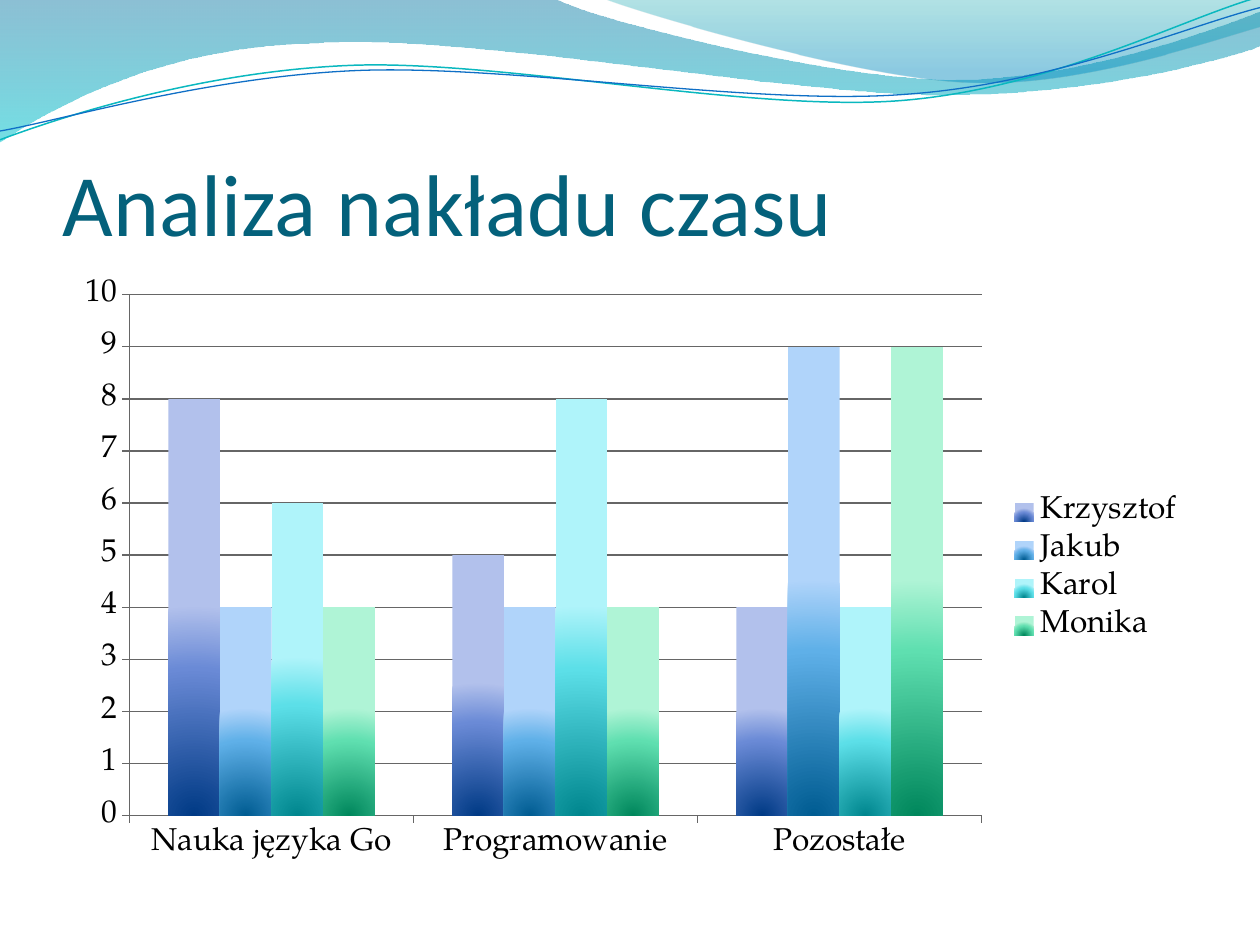
import math
from lxml import etree
from pptx import Presentation
from pptx import util as u
from pptx.chart import data as cd
from pptx.dml.color import RGBColor
from pptx.enum import chart as ec, text as et
from pptx.oxml import ns

# Content
TITLE = "Analiza nakładu czasu"
CATS = ["Nauka języka Go", "Programowanie", "Pozostałe"]
HOURS = {
    "Krzysztof": (8, 5, 4),
    "Jakub": (4, 4, 9),
    "Karol": (6, 8, 4),
    "Monika": (4, 4, 9),
}

# Look
THEME = {
    "head": "Calibri", "body": "TeX Gyre Pagella",
    "title": 50, "label": 18,
    "ink": "04617B", "text": "000000", "grid": "666666",
    "bars": [("003A85", "6A8AD6", "B2C1EC"), ("005C92", "5FB0E8", "B0D4FA"),
             ("00868E", "5CDFE8", "AFF4FA"), ("00875C", "5FDFB0", "AFF4D6")],
}
STOPS = (0, 70, 100)

# Waves in tenths of the slide width: box, then corners (2) and curves (6).
# Bands end with gradient stops: position, colour, opacity, all in percent.
BANDS = [
    ((-0.01, -0.01, 10.02, 1.14),
     [(0, 0), (4.4, -0.01), (4.76, 0.17, 6.64, 0.63, 7.58, 0.63),
      (8.53, 0.63, 9.58, 0.26, 10, 0.09), (10.01, 0.36),
      (9.83, 0.44, 8.7, 0.76, 7.46, 0.75), (6.22, 0.75, 3.82, 0.28, 2.57, 0.34),
      (1.29, 0.36, 0.46, 0.83, -0.01, 1.13), (0, 0)],
     [(0, "0074A1", 45), (100, "00C6CF", 55)]),
    ((4.79, -0.01, 5.21, 0.7),
     [(4.79, -0.01), (5.09, 0.11, 6.82, 0.62, 7.69, 0.65),
      (8.56, 0.69, 9.61, 0.32, 10, 0.21), (10, 0), (4.79, -0.01)],
     [(0, "00A1A9", 30), (80, "008BBF", 45)]),
]
LINES = [
    ((-0.02, 0.22, 10.02, 0.71),
     [(0, 1.11), (0.48, 0.93, 1.58, 0.57, 2.77, 0.52),
      (3.95, 0.47, 5.93, 0.89, 7.13, 0.8), (8.33, 0.71, 9.38, 0.15, 9.98, -0.02)],
     "0AB8BF", 0.85),
    ((-0.02, 0.3, 10.03, 0.58),
     [(0, 1.04), (0.47, 0.96, 1.64, 0.61, 2.83, 0.56),
      (4.03, 0.51, 5.97, 0.84, 7.17, 0.75), (8.36, 0.67, 9.41, 0.21, 10, 0.06)],
     "0F6FC6", 0.75),
]

WIDE, HIGH, EDGE = 25.4, 19.05, 1.27
TILT = 357.3


def rgb(code):
    return RGBColor.from_string(code)


def tenth(val):
    return u.Cm(val * WIDE / 10)


def wave(slide, box, parts, turn=0):
    """Draw an outline in its box; a turned box holds the points turned back."""
    x, y, w, h = box
    pen = slide.shapes.build_freeform(tenth(x), tenth(y))
    pen.add_line_segments([(tenth(x + w), tenth(y)), (tenth(x + w), tenth(y + h))],
                          close=turn == 0)
    shape = pen.convert_to_shape()
    shape.shadow.inherit = False
    shape.rotation = turn

    # Swap the plain segments for corners and curves
    route = next(shape._element.iter(ns.qn("a:path")))
    for kid in list(route):
        route.remove(kid)
    cos, sin = math.cos(math.radians(-turn)), math.sin(math.radians(-turn))
    for i, part in enumerate(parts):
        name = "moveTo" if i == 0 else "lnTo" if len(part) == 2 else "cubicBezTo"
        step = etree.SubElement(route, ns.qn("a:" + name))
        for px, py in zip(part[::2], part[1::2]):
            dx, dy = px - x - w / 2, py - y - h / 2
            etree.SubElement(step, ns.qn("a:pt"),
                             x=str(tenth(dx * cos - dy * sin + w / 2)),
                             y=str(tenth(dx * sin + dy * cos + h / 2)))
    if not turn:
        etree.SubElement(route, ns.qn("a:close"))
    return shape


def shade(shape, prop, stops, radial=False):
    """Fill with a gradient, downwards or from the middle of the bottom edge."""
    shape.fill.gradient()
    grad = prop.find(ns.qn("a:gradFill"))
    for kid in list(grad):
        grad.remove(kid)
    ladder = etree.SubElement(grad, ns.qn("a:gsLst"))
    for pos, code, alpha in stops:
        stop = etree.SubElement(ladder, ns.qn("a:gs"), pos=str(pos * 1000))
        tone = etree.SubElement(stop, ns.qn("a:srgbClr"), val=code)
        if alpha < 100:
            etree.SubElement(tone, ns.qn("a:alpha"), val=str(alpha * 1000))
    if radial:
        way = etree.SubElement(grad, ns.qn("a:path"), {"path": "circle"})
        etree.SubElement(way, ns.qn("a:fillToRect"),
                         l="50000", t="100000", r="50000", b="0")
    else:
        etree.SubElement(grad, ns.qn("a:lin"), ang="5400000", scaled="0")


def write(slide, words, box, font, size, color):
    frame = slide.shapes.add_textbox(*map(u.Cm, box)).text_frame
    frame.word_wrap = True
    frame.vertical_anchor = et.MSO_ANCHOR.BOTTOM
    frame.margin_left = frame.margin_right = frame.margin_bottom = 0
    run = frame.paragraphs[0].add_run()
    run.text = words
    run.font.name, run.font.size = font, u.Pt(size)
    run.font.color.rgb = rgb(color)


def plot(slide, box):
    data = cd.CategoryChartData()
    data.categories = CATS
    for name, vals in HOURS.items():
        data.add_series(name, vals)
    kind = ec.XL_CHART_TYPE.COLUMN_CLUSTERED
    chart = slide.shapes.add_chart(kind, *map(u.Cm, box), data).chart
    chart.has_title = False
    chart.font.name, chart.font.size = THEME["body"], u.Pt(THEME["label"])
    chart.font.color.rgb = rgb(THEME["text"])
    chart.has_legend = True
    chart.legend.position = ec.XL_LEGEND_POSITION.RIGHT
    chart.legend.include_in_layout = False

    # Axes
    axis = chart.value_axis
    axis.minimum_scale, axis.maximum_scale, axis.major_unit = 0, 10, 1
    axis.has_major_gridlines = True
    for part in (axis, chart.category_axis, axis.major_gridlines):
        part.format.line.color.rgb = rgb(THEME["grid"])
        part.format.line.width = u.Pt(0.75)
    for part in (axis, chart.category_axis):
        part.major_tick_mark = ec.XL_TICK_MARK.OUTSIDE

    # Bars
    bars = chart.plots[0]
    bars.gap_width, bars.overlap, bars.vary_by_categories = 150, 0, False
    for row, tones in zip(bars.series, THEME["bars"]):
        stops = [(pos, code, 100) for pos, code in zip(STOPS, tones)]
        shade(row.format, row._element.get_or_add_spPr(), stops, radial=True)


def main():
    deck = Presentation()
    deck.slide_width, deck.slide_height = u.Cm(WIDE), u.Cm(HIGH)
    slide = deck.slides.add_slide(deck.slide_layouts[6])

    # Waves along the top
    for box, parts, stops in BANDS:
        band = wave(slide, box, parts)
        band.line.fill.background()
        shade(band, band._element.spPr, stops)
    for box, parts, color, width in LINES:
        line = wave(slide, box, parts, turn=TILT)
        line.fill.background()
        line.line.color.rgb, line.line.width = rgb(color), u.Pt(width)

    # Title and chart share the side margins
    span = WIDE - 2 * EDGE
    write(slide, TITLE, (EDGE, 1.95, span, 3.18),
          font=THEME["head"], size=THEME["title"], color=THEME["ink"])
    plot(slide, (EDGE, 5.38, span, 12.19))
    deck.save("out.pptx")


if __name__ == "__main__":
    main()
